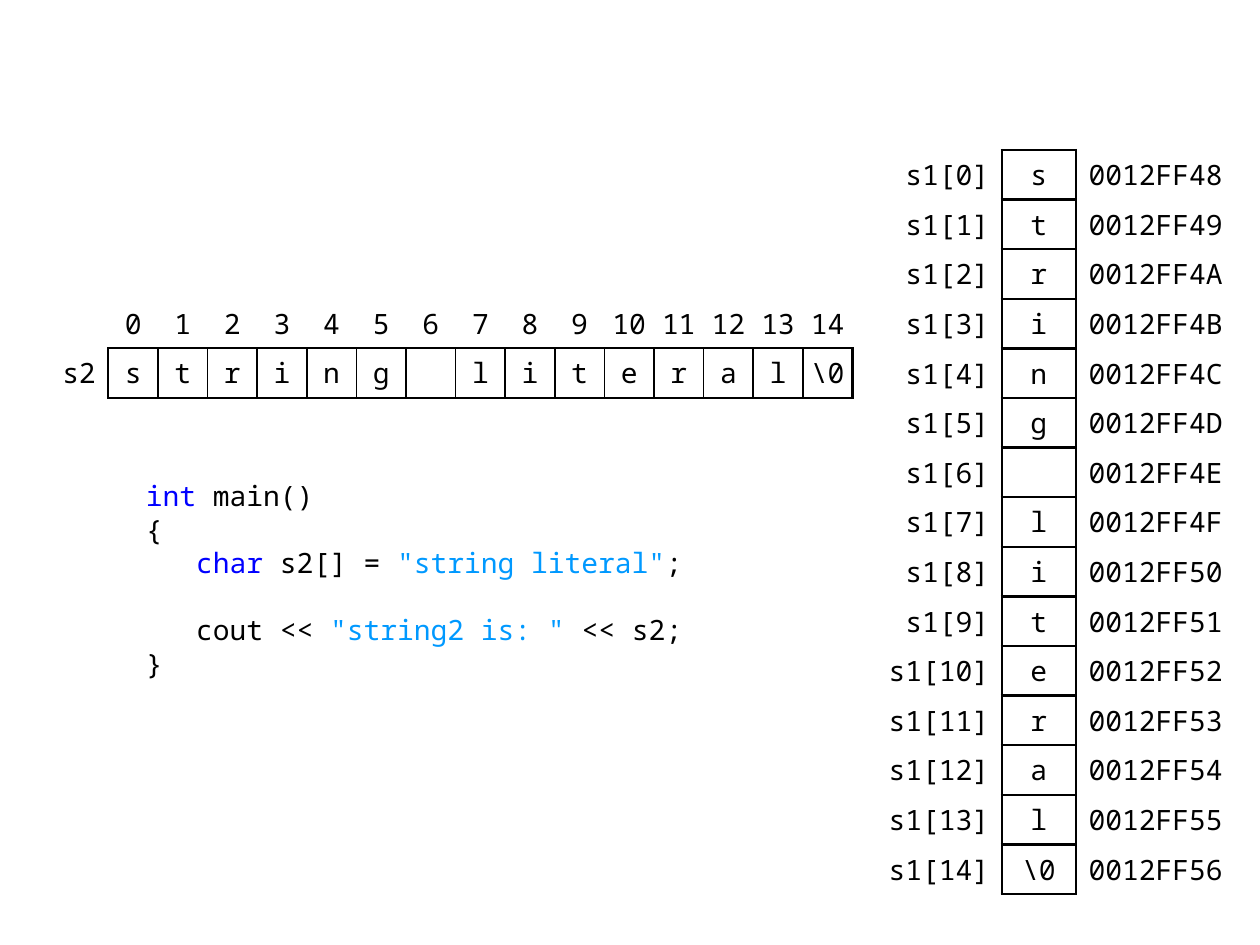
from lxml.etree import SubElement
from pptx import Presentation
from pptx.dml.color import RGBColor
from pptx.enum.text import MSO_ANCHOR, PP_ALIGN
from pptx.oxml.ns import qn
from pptx.util import Inches, Pt

BLACK = RGBColor(0x00, 0x00, 0x00)
WHITE = RGBColor(0xFF, 0xFF, 0xFF)
KEYWORD_BLUE = RGBColor(0x00, 0x00, 0xFF)
STRING_BLUE = RGBColor(0x00, 0x99, 0xFF)
FONT = "Noto Sans Mono"
NO_STYLE = "{2D5ABB26-0587-4C30-8999-92F81FD0307C}"
CELL = 5.91 / 15

characters = list("string literal") + ["\\0"]
first_address = 0x0012FF48


def add_run(paragraph, text, color=BLACK):
    run = paragraph.add_run()
    run.text = text
    run.font.name = FONT
    run.font.size = Pt(16)
    run.font.color.rgb = color


def fill_cell(cell, text, align, margins, borders, fill=None):
    """Margins are (side, top) in inches; borders map L, R, T, B to points."""
    side, top = margins
    for name, value in {"margin_left": side, "margin_right": side,
                        "margin_top": top, "margin_bottom": top}.items():
        setattr(cell, name, Inches(value))
    cell.vertical_anchor = MSO_ANCHOR.MIDDLE
    paragraph = cell.text_frame.paragraphs[0]
    paragraph.alignment = align
    if text:
        add_run(paragraph, text)
    properties = cell._tc.get_or_add_tcPr()
    for edge in "LRTB":
        if edge in borders:
            line = SubElement(properties, qn(f"a:ln{edge}"), w=str(Pt(borders[edge])))
            solid = SubElement(line, qn("a:solidFill"))
            SubElement(solid, qn("a:srgbClr"), val=str(BLACK))
    if fill is None:
        cell.fill.background()
    else:
        cell.fill.solid()
        cell.fill.fore_color.rgb = fill


presentation = Presentation()
presentation.slide_width = Inches(10)
presentation.slide_height = Inches(7.5)
slide = presentation.slides.add_slide(presentation.slide_layouts[6])

# Source code
code_lines = [
    [("int ", KEYWORD_BLUE), ("main()", BLACK)],
    [("{", BLACK)],
    [("   ", BLACK), ("char ", KEYWORD_BLUE), ("s2[] = ", BLACK),
     ('"string literal"', STRING_BLUE), (";", BLACK)],
    [(" ", BLACK)],
    [("   cout << ", BLACK), ('"string2 is: " ', STRING_BLUE), ("<< s2;", BLACK)],
    [("}", BLACK)],
]
code_box = slide.shapes.add_textbox(Inches(1.06), Inches(3.75), Inches(4.53), Inches(1.77))
code_frame = code_box.text_frame
code_frame.word_wrap = True
for index, code_line in enumerate(code_lines):
    paragraph = code_frame.paragraphs[0] if index == 0 else code_frame.add_paragraph()
    paragraph.line_spacing = Pt(19.2)
    for text, color in code_line:
        add_run(paragraph, text, color)

# Both tables, unstyled
count = len(characters)
grids = []
for left, top, widths, row_count in [
    (6.77, 1.19, [1.18, 0.59, 1.38], count),
    (0.27, 2.37, [0.59] + [CELL] * count, 2),
]:
    frame = slide.shapes.add_table(row_count, len(widths), Inches(left), Inches(top),
                                   Inches(sum(widths)), Inches(CELL * row_count))
    table = frame.table
    table.first_row = table.horz_banding = False
    table._tbl.tblPr.find(qn("a:tableStyleId")).text = NO_STYLE
    for column, width in zip(table.columns, widths):
        column.width = Inches(width)
    for row in table.rows:
        row.height = Inches(CELL)
    grids.append(table)
memory_table, array_table = grids

# Elements of s1 with their addresses
box_borders = dict.fromkeys("LRTB", 1.5)
for index, character in enumerate(characters):
    fill_cell(memory_table.cell(index, 0), f"s1[{index}]", PP_ALIGN.RIGHT,
              (0.1, 0.04), {"R": 1.5})
    fill_cell(memory_table.cell(index, 1), character, PP_ALIGN.CENTER,
              (0.1, 0.04), box_borders, WHITE)
    fill_cell(memory_table.cell(index, 2), f"{first_address + index:08X}", PP_ALIGN.LEFT,
              (0.1, 0.04), {"L": 1.5}, WHITE)

# Array s2 with its indexes
fill_cell(array_table.cell(0, 0), "", PP_ALIGN.RIGHT, (0.1, 0), {})
fill_cell(array_table.cell(1, 0), "s2", PP_ALIGN.RIGHT, (0.1, 0), {"R": 1.5})
for index, character in enumerate(characters):
    borders = {"L": 1.5 if index == 0 else 1, "R": 1.5 if index == count - 1 else 1,
               "T": 1.5, "B": 1.5}
    fill_cell(array_table.cell(0, index + 1), str(index), PP_ALIGN.CENTER, (0, 0), {"B": 1.5})
    fill_cell(array_table.cell(1, index + 1), character, PP_ALIGN.CENTER, (0, 0), borders)

presentation.save("out.pptx")
